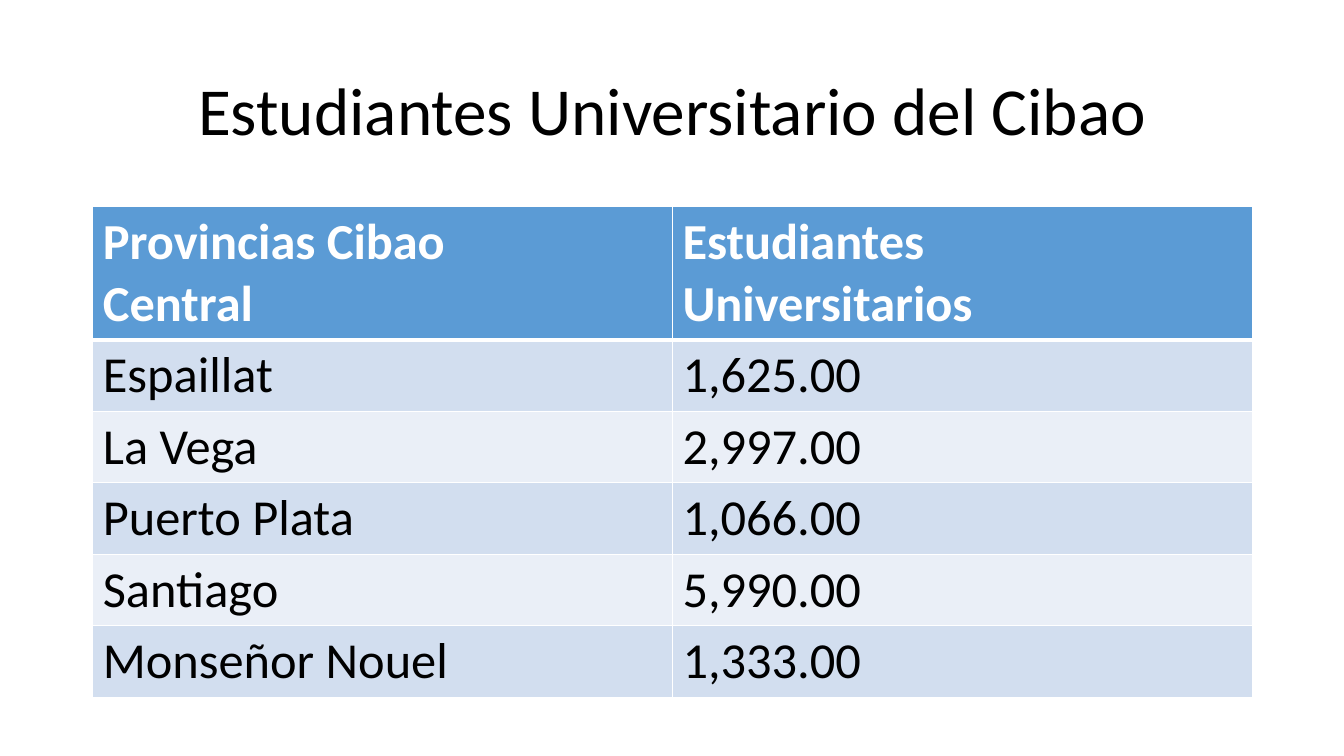
from lxml import etree
from pptx import Presentation
from pptx import util as u
from pptx.dml.color import RGBColor
from pptx.enum import text
from pptx.oxml.ns import qn

FONT = "Calibri"
WHITE, BLACK, BLUE = "FFFFFF", "000000", "5B9BD5"
BANDS = ("D2DEEF", "EAEFF7")
HEADINGS = ("Provincias Cibao\nCentral", "Estudiantes\nUniversitarios")
PROVINCES = (
    ("Espaillat", "1,625.00"),
    ("La Vega", "2,997.00"),
    ("Puerto Plata", "1,066.00"),
    ("Santiago", "5,990.00"),
    ("Monseñor Nouel", "1,333.00"),
)


def rgb(value):
    """Return the colour for a hex string."""
    return RGBColor.from_string(value)


def style_paragraph(paragraph, size, color, bold=False):
    """Set the font of a whole paragraph."""
    font = paragraph.font
    font.name, font.size, font.bold = FONT, u.Pt(size), bold
    font.color.rgb = rgb(color)


def add_borders(cell, top, bottom):
    """Give a cell white borders, with top and bottom widths in points."""
    properties = cell._tc.get_or_add_tcPr()
    widths = {"lnL": 1, "lnR": 1, "lnT": top, "lnB": bottom}
    for position, (side, width) in enumerate(widths.items()):
        line = etree.Element(qn(f"a:{side}"), w=str(u.Pt(width)))
        fill = etree.SubElement(line, qn("a:solidFill"))
        etree.SubElement(fill, qn("a:srgbClr"), val=WHITE)
        properties.insert(position, line)


def add_title(slide, left, top, width, height):
    """Place the centred slide title in its box."""
    title = slide.shapes.add_textbox(*map(u.Inches, (left, top, width, height)))
    frame = title.text_frame
    frame.word_wrap = True
    frame.vertical_anchor = text.MSO_ANCHOR.MIDDLE
    frame.text = "Estudiantes Universitario del Cibao"
    heading = frame.paragraphs[0]
    heading.alignment = text.PP_ALIGN.CENTER
    heading.line_spacing = 0.9
    style_paragraph(heading, 48, BLACK)


def add_students_table(slide, left, top, width, header_height, row_height):
    """Place the table of students by province, with banded rows."""
    rows = (HEADINGS,) + PROVINCES
    height = header_height + row_height * len(PROVINCES)
    box = map(u.Inches, (left, top, width, height))
    students = slide.shapes.add_table(len(rows), len(HEADINGS), *box).table
    for column in students.columns:
        column.width = u.Inches(width / len(HEADINGS))
    for index, entries in enumerate(rows):
        is_header = index == 0
        students.rows[index].height = u.Inches(header_height if is_header else row_height)
        for column, entry in enumerate(entries):
            cell = students.cell(index, column)
            cell.text = entry
            cell.fill.solid()
            cell.fill.fore_color.rgb = rgb(BLUE if is_header else BANDS[(index - 1) % 2])
            add_borders(cell, 3 if index == 1 else 1, 3 if is_header else 1)
            for paragraph in cell.text_frame.paragraphs:
                style_paragraph(paragraph, 36, WHITE if is_header else BLACK, is_header)


def main():
    """Build the slide and save it."""
    deck = Presentation()
    deck.slide_width, deck.slide_height = u.Inches(13.33), u.Inches(7.5)
    slide = deck.slides.add_slide(deck.slide_layouts[6])
    add_title(slide, 0.92, 0.4, 11.5, 1.45)
    add_students_table(slide, 0.92, 2.05, 11.5, 1.32, 0.71)
    deck.save("out.pptx")


if __name__ == "__main__":
    main()
